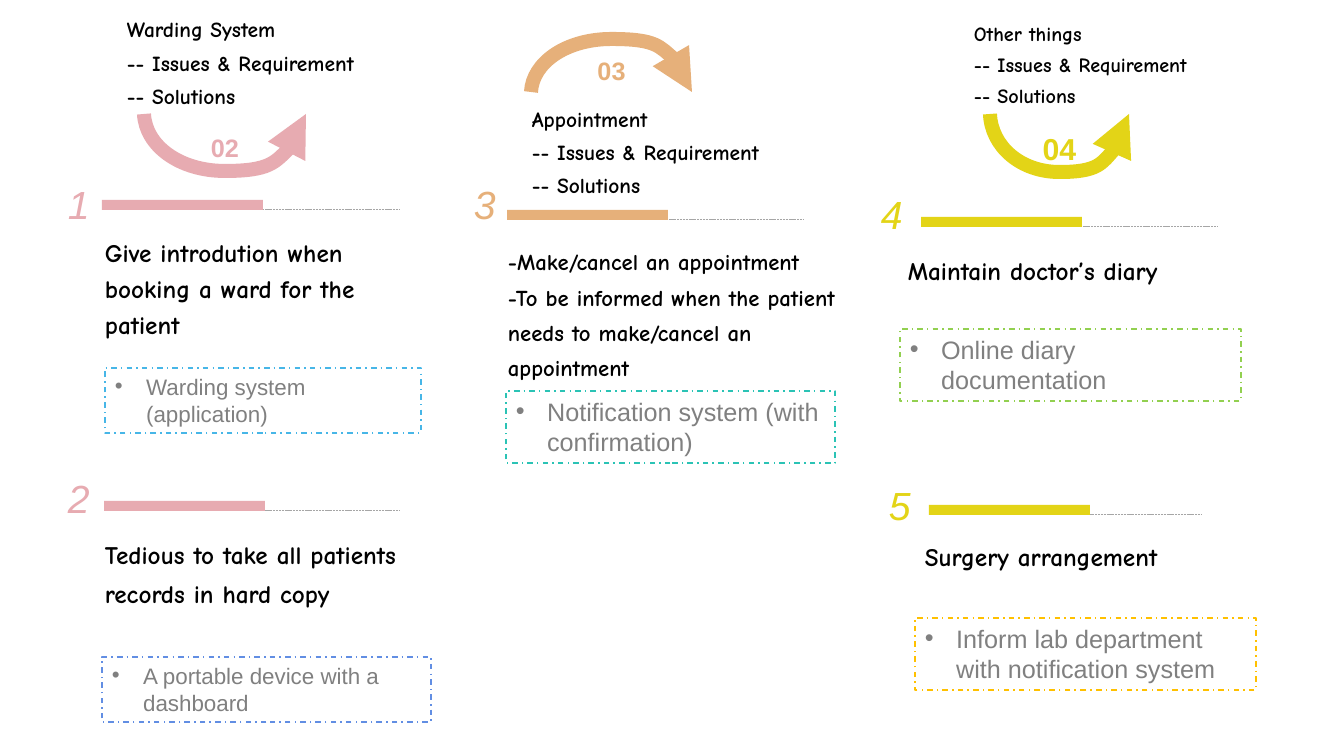
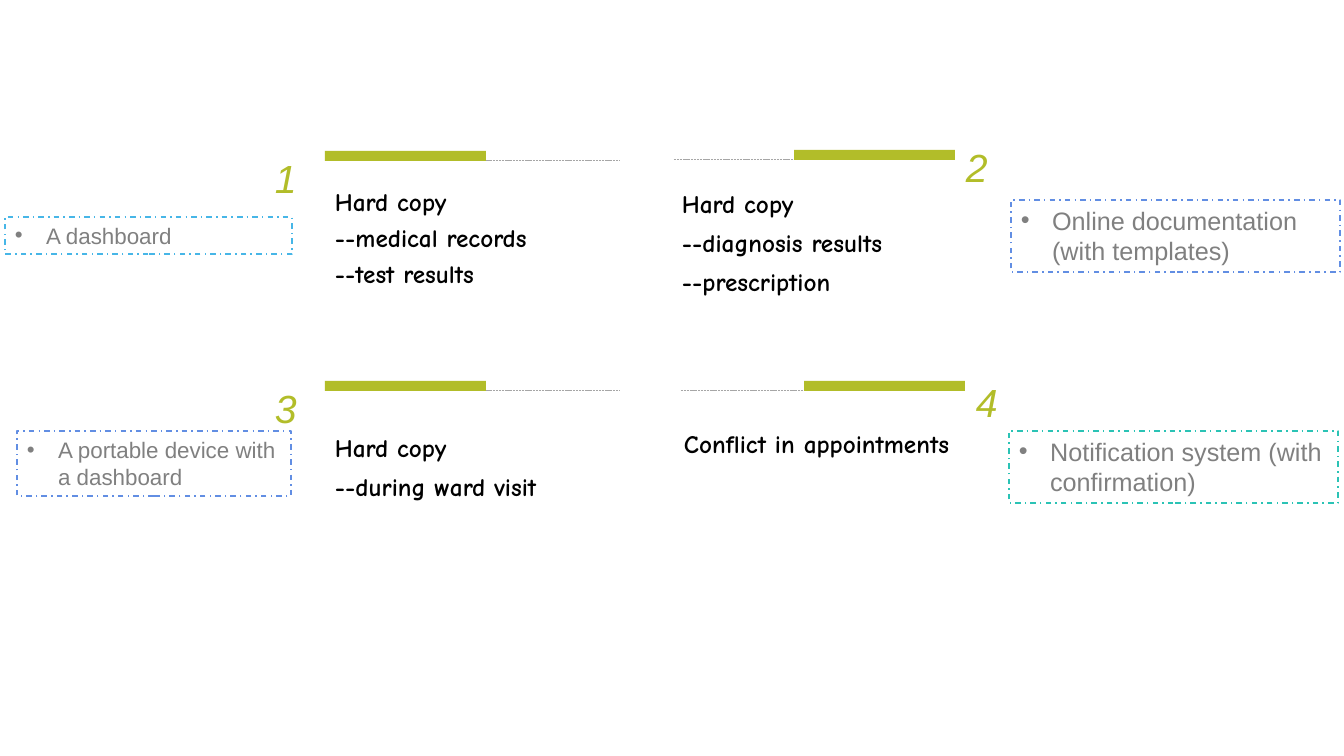
from dataclasses import dataclass

from lxml import etree
from pptx import Presentation
from pptx import util as u
from pptx.dml.color import RGBColor
from pptx.enum import dml, shapes, text
from pptx.oxml.ns import qn

PX = 914400 / 100.8
HAND, SANS = "Comic Neue", "Arial"

BLACK = RGBColor(0x00, 0x00, 0x00)
GREY = RGBColor(0x80, 0x80, 0x80)
RULE_GREY = RGBColor(0xA6, 0xA6, 0xA6)
PINK = RGBColor(0xE7, 0xAB, 0xB1)
ORANGE = RGBColor(0xE6, 0xB0, 0x7A)
YELLOW = RGBColor(0xE3, 0xD4, 0x17)
OLIVE = RGBColor(0xB2, 0xBD, 0x29)
SKY = RGBColor(0x47, 0xB6, 0xE7)
BLUE = RGBColor(0x62, 0x8E, 0xE3)
TEAL = RGBColor(0x2B, 0xC3, 0xB5)
GREEN = RGBColor(0x92, 0xD0, 0x50)
AMBER = RGBColor(0xFF, 0xC0, 0x00)

BAR_WIDTH, BAR_HEIGHT = 161, 10
RULE_LENGTH, RULE_DROP = 203, 9
NUMBER_WIDTH, NUMBER_HEIGHT = 36, 115


@dataclass
class Solution:
    """The dashed box; its box is measured from the corner of the bar."""
    wording: str
    box: tuple
    color: RGBColor
    size: int = 18


@dataclass
class Issue:
    """One numbered block; all offsets are measured from the corner of its bar."""
    number: str
    corner: tuple
    rule_offset: int
    number_offset: tuple
    lines: tuple
    lines_box: tuple
    solution: Solution
    color: RGBColor = OLIVE
    size: float = 18
    spacing: float = 1.3


@dataclass
class Topic:
    """A curved arrow with its label, and the text box beside it."""
    label: str
    arrow_box: tuple
    name: str
    text_box: tuple
    color: RGBColor
    size: float
    label_size: float = 18
    rises: bool = False
    anchor: text.MSO_ANCHOR = text.MSO_ANCHOR.BOTTOM


def emu(*lengths):
    return [round(length * PX) for length in lengths]


def shifted(corner, box):
    return (corner[0] + box[0], corner[1] + box[1], *box[2:])


def write(frame, lines, font, size, color, spacing=None, bold=False,
          italic=False, align=text.PP_ALIGN.LEFT, anchor=text.MSO_ANCHOR.TOP):
    frame.word_wrap = True
    frame.vertical_anchor = anchor
    for index, line in enumerate(lines):
        para = frame.add_paragraph() if index else frame.paragraphs[0]
        para.alignment = align
        if spacing:
            para.line_spacing = spacing
        span = para.add_run()
        span.text = line
        span.font.name = font
        span.font.size = u.Pt(size)
        span.font.bold = bold
        span.font.italic = italic
        span.font.color.rgb = color


def add_text(target, box, lines, *style, **options):
    write(target.add_textbox(*emu(*box)).text_frame, lines, *style, **options)


def add_box(target, box):
    shape = target.add_shape(shapes.MSO_SHAPE.RECTANGLE, *emu(*box))
    shape.shadow.inherit = False
    return shape


def add_bar(target, corner, color):
    bar = add_box(target, (*corner, BAR_WIDTH, BAR_HEIGHT))
    bar.fill.solid()
    bar.fill.fore_color.rgb = color
    bar.line.fill.background()


def add_rule(target, x, y):
    rule = target.add_connector(shapes.MSO_CONNECTOR.STRAIGHT,
                                *emu(x, y, x + RULE_LENGTH, y))
    rule.line.color.rgb = RULE_GREY
    rule.line.width = u.Pt(0.5)
    # SQUARE_DOT is the member that writes sysDot, so the dash is set in XML
    dash = etree.SubElement(rule.line.fill._xPr, qn("a:prstDash"))
    dash.set("val", "sysDash")
    etree.SubElement(rule.element.spPr, qn("a:effectLst"))


def add_bullet(para):
    props = para._p.get_or_add_pPr()
    hang = round(0.31 * 914400)
    props.set("marL", str(hang))
    props.set("indent", str(-hang))
    etree.SubElement(props, qn("a:buFont")).set("typeface", SANS)
    etree.SubElement(props, qn("a:buChar")).set("char", "•")


def add_solution(target, corner, solution):
    shape = add_box(target, shifted(corner, solution.box))
    shape.fill.background()
    shape.line.color.rgb = solution.color
    shape.line.width = u.Pt(1)
    shape.line.dash_style = dml.MSO_LINE.DASH_DOT
    frame = shape.text_frame
    write(frame, [solution.wording], SANS, solution.size, GREY)
    frame.auto_size = text.MSO_AUTO_SIZE.SHAPE_TO_FIT_TEXT
    add_bullet(frame.paragraphs[0])


def add_issue(target, issue):
    corner = issue.corner
    add_rule(target, corner[0] + issue.rule_offset, corner[1] + RULE_DROP)
    add_bar(target, corner, issue.color)
    add_text(target, shifted(corner, issue.lines_box), issue.lines, HAND,
             issue.size, BLACK, issue.spacing, bold=True)
    number_box = (*issue.number_offset, NUMBER_WIDTH, NUMBER_HEIGHT)
    add_text(target, shifted(corner, number_box), [issue.number], SANS, 28,
             issue.color, 1.3, italic=True)
    add_solution(target, corner, issue.solution)


def add_curved_arrow(target, box, rises):
    """Draw half an ellipse as two Bezier curves, ending in an arrowhead."""
    left, top, width, height = box
    bend = [(0, 0), (0.01, 0.56), (0.22, 1), (0.5, 1),
            (0.78, 1), (0.99, 0.56), (1, 0)]
    points = [emu(left + width * x, top + height * (1 - y if rises else y))
              for x, y in bend]
    builder = target.build_freeform(*points[0], scale=1.0)
    builder.add_line_segments(points[1:], close=False)
    arrow = builder.convert_to_shape()
    outline = arrow.element.find(".//" + qn("a:path"))
    segments = outline.findall(qn("a:lnTo"))
    for first in range(0, len(segments), 3):
        curve = etree.SubElement(outline, qn("a:cubicBezTo"))
        for segment in segments[first:first + 3]:
            curve.append(segment[0])
            outline.remove(segment)
    return arrow


def add_topic(target, topic):
    arrow = add_curved_arrow(target, topic.arrow_box, topic.rises)
    arrow.shadow.inherit = False
    arrow.fill.background()
    arrow.line.color.rgb = topic.color
    arrow.line.width = u.Pt(10)
    head = etree.SubElement(arrow.line.fill._xPr, qn("a:tailEnd"))
    head.set("type", "triangle")
    write(arrow.text_frame, [topic.label], SANS, topic.label_size, topic.color,
          1.3, bold=True, align=text.PP_ALIGN.CENTER,
          anchor=text.MSO_ANCHOR.MIDDLE)
    lines = [topic.name, "-- Issues & Requirement", "-- Solutions"]
    add_text(target, topic.text_box, lines, HAND, topic.size, BLACK, 1.3,
             bold=True, align=text.PP_ALIGN.JUSTIFY, anchor=topic.anchor)


TOPICS = [
    Topic("02", (144, 114, 162, 57), "Warding System", (117, -12, 282, 126),
          PINK, 15.3),
    Topic("03", (531, 39, 161, 53), "Appointment", (522, 93, 280, 143),
          ORANGE, 15.3, rises=True, anchor=text.MSO_ANCHOR.TOP),
    Topic("04", (990, 114, 139, 58), "Other things", (964, 10, 287, 103),
          YELLOW, 14.4, label_size=21.6),
]

TOPIC_ISSUES = [
    Issue("1", (102, 200), 94, (-44, -39),
          ("Give introdution when booking a ward for the patient",),
          (-7, 26, 335, 119),
          Solution("Warding system (application)", (3, 168, 316, 65), SKY, 16),
          PINK, spacing=1.2),
    Issue("2", (104, 501), 92, (-46, -46),
          ("Tedious to take all patients records in hard copy",),
          (-9, 24, 335, 132),
          Solution("A portable device with a dashboard",
                   (-2, 156, 329, 65), BLUE, 16), PINK),
    Issue("3", (507, 210), 93, (-43, -49),
          ("-Make/cancel an appointment",
           "-To be informed when the patient needs to make/cancel an appointment"),
          (-9, 25, 350, 195),
          Solution("Notification system (with confirmation)",
                   (-1, 181, 329, 72), TEAL), ORANGE, size=16.2),
    Issue("4", (921, 217), 93, (-50, -46), ("Maintain doctor’s diary",),
          (-23, 24, 343, 88),
          Solution("Online diary documentation", (-21, 112, 341, 72), GREEN),
          YELLOW),
    Issue("5", (929, 505), 69, (-50, -43), ("Surgery arrangement",),
          (-14, 25, 336, 87),
          Solution("Inform lab department with notification system",
                   (-14, 113, 341, 72), AMBER), YELLOW, spacing=1.2),
]

HARD_COPY_ISSUES = [
    Issue("1", (325, 151), 91, (-60, -16),
          ("Hard copy", "--medical records", "--test results"),
          (0, 24, 296, 119),
          Solution("A dashboard", (-320, 66, 287, 37), SKY, 16), spacing=1.2),
    Issue("2", (794, 150), -120, (162, -26),
          ("Hard copy", "--diagnosis results", "--prescription"),
          (-122, 24, 283, 131),
          Solution("Online documentation (with templates)",
                   (217, 50, 329, 72), BLUE)),
    Issue("3", (325, 381), 91, (-60, -16),
          ("Hard copy", "--during ward visit"), (0, 37, 295, 96),
          Solution("A portable device with a dashboard",
                   (-308, 50, 274, 65), BLUE, 16)),
    Issue("4", (804, 381), -123, (162, -22), ("Conflict in appointments",),
          (-130, 33, 318, 59),
          Solution("Notification system (with confirmation)",
                   (205, 50, 329, 72), TEAL)),
]


def build_topics_page(page):
    for issue in TOPIC_ISSUES:
        add_issue(page.shapes, issue)
    for topic in TOPICS:
        add_topic(page.shapes, topic)


def build_hard_copy_page(page):
    for issue in HARD_COPY_ISSUES:
        add_issue(page.shapes.add_group_shape().shapes, issue)


def main():
    deck = Presentation()
    deck.slide_width, deck.slide_height = emu(1344, 756)
    blank = deck.slide_layouts[6]
    for build in (build_topics_page, build_hard_copy_page):
        build(deck.slides.add_slide(blank))
    deck.save("out.pptx")


if __name__ == "__main__":
    main()
